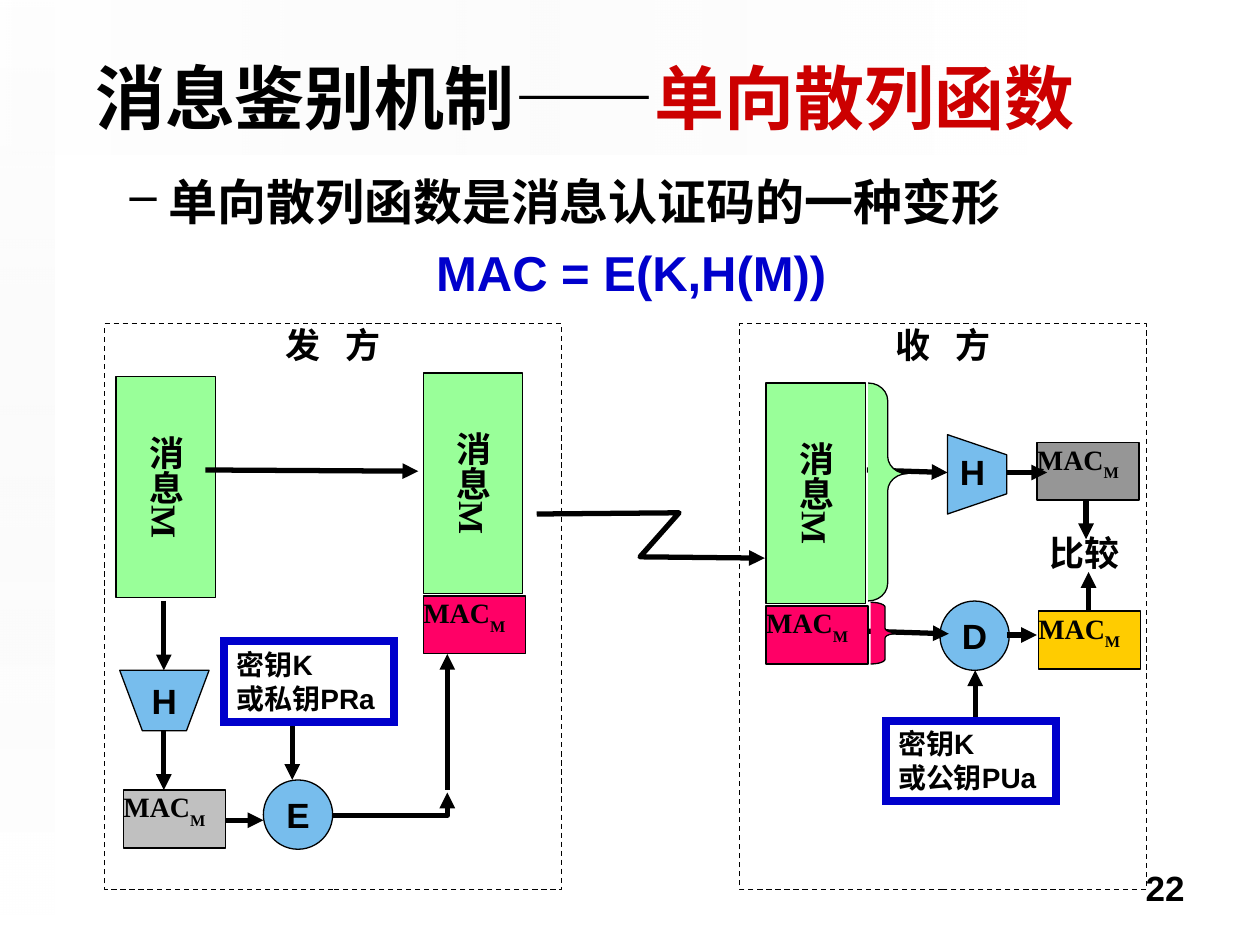
from lxml import etree
from pptx import Presentation, util as u
from pptx.dml.color import RGBColor
from pptx.enum import dml, shapes, text
from pptx.oxml import ns

SANS, SERIF = "Arial", "Times New Roman"
BLACK, WHITE, BLUE, RED = "000000", "FFFFFF", "0000CC", "CC0000"
SKY, GREEN, PINK = "77BDED", "99FF99", "FF0066"
RECTANGLE = shapes.MSO_SHAPE.RECTANGLE
OVAL = shapes.MSO_SHAPE.OVAL
BRACE = shapes.MSO_SHAPE.RIGHT_BRACE
CENTER, LEFT, RIGHT = text.PP_ALIGN.CENTER, text.PP_ALIGN.LEFT, text.PP_ALIGN.RIGHT
TOP, MIDDLE = text.MSO_ANCHOR.TOP, text.MSO_ANCHOR.MIDDLE
PADDING = (0.1, 0.05)

BACKDROPS = [((3.46, -3.46, 1.23, 8.15), 90, 270, 49), ((0, 0, 0.43, 7.26), 180, 270, 65)]
TITLE = [("消息鉴别机制——", BLACK), ("单向散列函数", RED)]
STATEMENT = "单向散列函数是消息认证码的一种变形"
FORMULA = "MAC = E(K,H(M))"
FRAMES = [("发", "方", 0.83, 3.63), ("收", "方", 5.87, 3.23)]
MESSAGES = [(0.92, 2.99), (3.36, 2.96), (6.08, 3.04)]
MACS = [(3.36, 4.73, PINK), (6.08, 4.81, PINK), (8.24, 4.85, "FFCC00"),
        (0.98, 6.27, "C0C0C0"), (8.23, 3.51, "969696")]
CIRCLES = [("E", 2.09, 6.19), ("D", 7.46, 4.77)]
KEYS = [("或私钥PRa", 1.78, 5.09), ("或公钥PUa", 7.03, 5.72)]
ARROWS = [
    (1.63, 3.73, 3.32, 3.74), (1.3, 4.77, 1.3, 5.32), (1.3, 5.8, 1.3, 6.27),
    (1.79, 6.51, 2.09, 6.51), (2.32, 5.64, 2.32, 6.19), (3.55, 6.27, 3.55, 5.19),
    (6.88, 3.73, 7.52, 3.75), (7.99, 3.75, 8.31, 3.75), (8.62, 3.97, 8.62, 4.28),
    (8.64, 4.85, 8.64, 4.54), (6.89, 5.01, 7.53, 5.03), (7.99, 5.04, 8.23, 5.04),
    (7.74, 5.7, 7.74, 5.32),
]
BENT_ARROW = (2.64, 6.47, 3.55, 6.29)
CHANNEL = [(4.26, 4.08), (5.39, 4.07), (5.08, 4.42), (6.07, 4.43)]
BRACES = [((6.89, 3.04, 0.31, 1.73), GREEN, 0.45, 0.416),
          ((6.91, 4.78, 0.23, 0.49), PINK, 0.17, 0.5)]
SENDER_HASH = [(0.95, 5.32), (1.13, 5.8), (1.48, 5.8), (1.66, 5.32)]
RECEIVER_HASH = [(7.52, 4.08), (7.99, 3.92), (7.99, 3.61), (7.52, 3.45)]

presentation = Presentation()
presentation.slide_width, presentation.slide_height = u.Inches(10), u.Inches(7.5)
slide = presentation.slides.add_slide(presentation.slide_layouts[6])


def rgb(value):
    return RGBColor.from_string(value)


def inches(values):
    return [u.Inches(value) for value in values]


def child(parent, tag, **attributes):
    return etree.SubElement(parent, ns.qn(tag), attributes)


def style(shape, fill=None, line=None, width=0.75):
    shape.shadow.inherit = False
    if fill:
        shape.fill.solid()
        shape.fill.fore_color.rgb = rgb(fill)
    else:
        shape.fill.background()
    if line:
        shape.line.color.rgb = rgb(line)
        shape.line.width = u.Pt(width)
    else:
        shape.line.fill.background()
    return shape


def add_box(kind, box, fill, line=BLACK, width=0.75):
    return style(slide.shapes.add_shape(kind, *inches(box)), fill, line, width)


def add_outline(points, fill, closed, width=0.75):
    corners = [inches(point) for point in points]
    builder = slide.shapes.build_freeform(*corners[0])
    builder.add_line_segments(corners[1:], close=closed)
    return style(builder.convert_to_shape(), fill, BLACK, width)


def setup(shape, padding=(0, 0), anchor=TOP, wrap=True):
    frame = shape.text_frame
    frame.margin_left = frame.margin_right = u.Inches(padding[0])
    frame.margin_top = frame.margin_bottom = u.Inches(padding[1])
    frame.vertical_anchor = anchor
    frame.word_wrap = wrap
    return frame


def add_run(paragraph, content, size, font=SANS, color=BLACK):
    run = paragraph.add_run()
    run.text = content
    run.font.size, run.font.name, run.font.bold = u.Pt(size), font, True
    run.font.color.rgb = rgb(color)
    return run


def first(frame, align=LEFT):
    frame.paragraphs[0].alignment = align
    return frame.paragraphs[0]


def add_textbox(box, anchor=TOP, wrap=True):
    return setup(slide.shapes.add_textbox(*inches(box)), PADDING, anchor, wrap)


def add_arrowhead(shape):
    child(shape.line._get_or_add_ln(), "a:tailEnd", type="triangle")


def add_arrow(ends, kind=shapes.MSO_CONNECTOR.STRAIGHT):
    connector = slide.shapes.add_connector(kind, *inches(ends))
    connector.line.color.rgb = rgb(BLACK)
    connector.line.width = u.Pt(3)
    add_arrowhead(connector)
    child(connector._element.spPr, "a:effectLst")
    return connector


for box, rotation, angle, alpha in BACKDROPS:
    backdrop = add_box(RECTANGLE, box, WHITE, None)
    backdrop.rotation = rotation
    backdrop.fill.gradient()
    backdrop.fill.gradient_angle = (360 - angle) % 360
    for stop, color in zip(backdrop.fill.gradient_stops, ("EAEAEA", WHITE)):
        stop.color.rgb = rgb(color)
    for element, opacity in zip(backdrop._element.iter(ns.qn("a:srgbClr")), (0, alpha)):
        child(element, "a:alpha", val=str(opacity * 1000))

add_run(first(add_textbox((7.17, 6.83, 2.33, 0.52)), RIGHT), "22", 20)
title = first(add_textbox((0.27, 0.28, 8.74, 0.97), MIDDLE), CENTER)
for content, color in TITLE:
    add_run(title, content, 40, color=color)

body = add_textbox((0.43, 1.31, 8.66, 5.35))
statement, formula = first(body), body.add_paragraph()
formula.alignment = CENTER
formula.space_before = u.Pt(7)
for paragraph in (statement, formula):
    properties = paragraph._p.get_or_add_pPr()
    properties.set("marL", str(u.Inches(0.81)))
    properties.set("indent", str(u.Inches(-0.31)))
child(statement._p.pPr, "a:buChar", char="–")
child(formula._p.pPr, "a:buNone")
add_run(statement, STATEMENT, 28)
add_run(formula, FORMULA, 28, color=BLUE)

for start, end, left, width in FRAMES:
    frame = add_box(RECTANGLE, (left, 2.57, width, 4.49), WHITE)
    frame.line.dash_style = dml.MSO_LINE.DASH
    heading = first(setup(frame), CENTER)
    spaced = add_run(heading, start + " ", 20, SERIF)
    spaced.font._element.set("spc", "500")
    add_run(heading, end, 20, SERIF)

add_arrowhead(add_outline(CHANNEL, None, False, 3))

compare = add_box(RECTANGLE, (8.33, 4.22, 0.6, 0.69), WHITE, None)
add_run(first(setup(compare)), "比较", 20, SERIF)

for left, top in MESSAGES:
    message = setup(add_box(RECTANGLE, (left, top, 0.79, 1.75), GREEN), anchor=MIDDLE)
    message._txBody.bodyPr.set("vert", "eaVert")
    message._txBody.bodyPr.set("anchorCtr", "1")
    add_run(first(message, CENTER), "消息M", 20, SERIF)

for left, top, color in MACS:
    label = first(setup(add_box(RECTANGLE, (left, top, 0.81, 0.46), color)))
    add_run(label, "MAC", 16, SERIF)
    add_run(label, "M", 16, SERIF).font._element.set("baseline", "-30000")

for letter, left, top in CIRCLES:
    circle = add_box(OVAL, (left, top, 0.55, 0.55), SKY)
    add_run(first(setup(circle, PADDING, MIDDLE, False), CENTER), letter, 20)

for ends in ARROWS:
    add_arrow(ends)
bent = add_arrow(BENT_ARROW, shapes.MSO_CONNECTOR.ELBOW)
bent._element.spPr.find(ns.qn("a:prstGeom")).set("prst", "bentConnector2")

for box, color, curl, point in BRACES:
    brace = add_box(BRACE, box, color)
    brace.adjustments[0], brace.adjustments[1] = curl, point

sender_hash = add_outline(SENDER_HASH, SKY, True)
add_run(first(setup(sender_hash, PADDING, MIDDLE, False), CENTER), "H", 20)
add_outline(RECEIVER_HASH, SKY, True)
add_run(first(add_textbox((7.52, 3.53, 0.4, 0.44), wrap=False)), "H", 20)

for owner, left, top in KEYS:
    box = add_box(RECTANGLE, (left, top, 1.35, 0.64), WHITE, BLUE, 4.5)
    child(box.line._get_or_add_ln(), "a:miter", lim="800000")
    key = setup(box, PADDING, wrap=False)
    add_run(first(key), "密钥K", 16)
    second = key.add_paragraph()
    second.alignment = LEFT
    add_run(second, owner, 16)

presentation.save("out.pptx")
